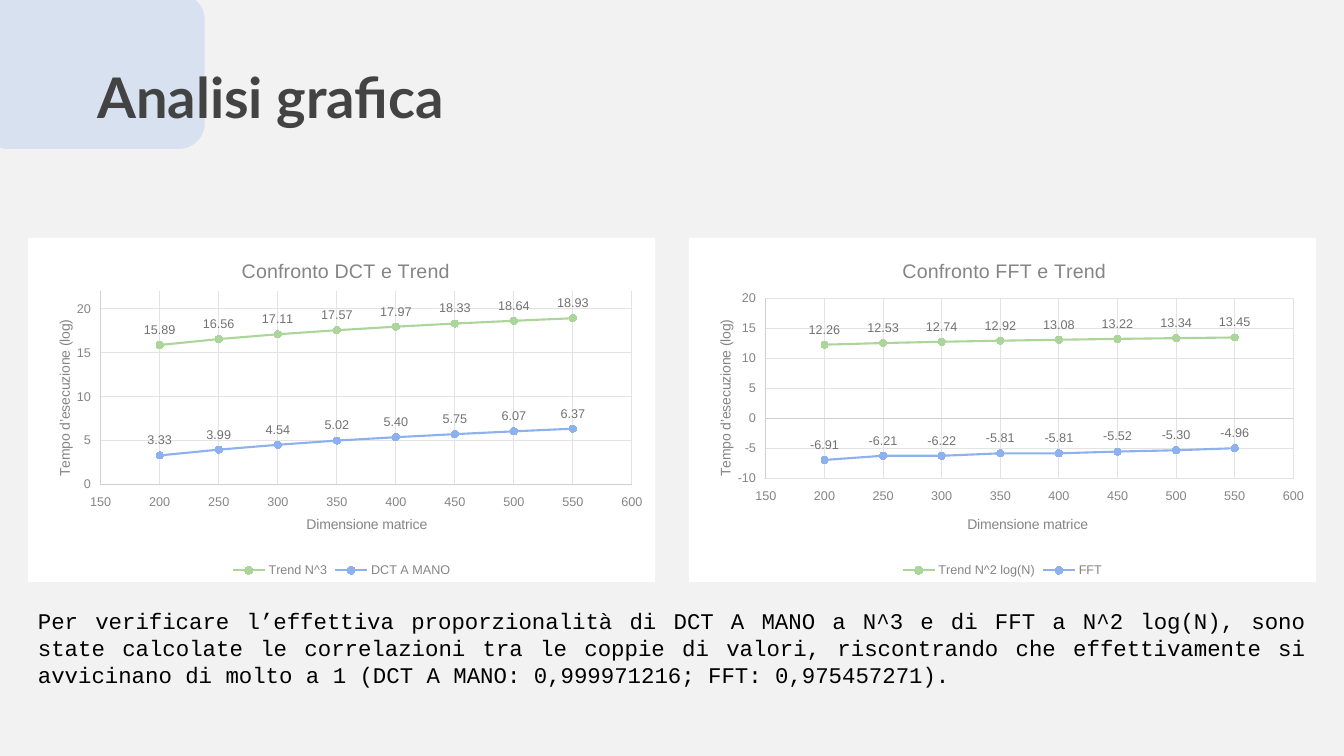
import dataclasses

import lxml.etree
import pptx
import pptx.chart.data
import pptx.dml.color
import pptx.enum.chart
import pptx.enum.shapes
import pptx.enum.text
import pptx.oxml
import pptx.oxml.ns
import pptx.util

qn = pptx.oxml.ns.qn
SPACE = pptx.oxml.ns.nsdecls("c", "a")


@dataclasses.dataclass(frozen=True)
class Theme:
    back: str = "F2F2F2"
    panel: str = "FFFFFF"
    head: str = "434343"
    body: str = "000000"
    soft: str = "858585"
    label: str = "727272"
    grid: str = "E3E3E3"
    axis: str = "D0D0D0"
    green: str = "ABD59A"
    blue: str = "8CB1EE"
    head_font: str = "Lato"
    body_font: str = "Courier New"
    chart_font: str = "Arial"
    head_size: int = 40
    body_size: int = 16
    title_size: int = 14
    axis_size: int = 10
    tick_size: int = 9


def paint(part, color):
    part.solid()
    part.fore_color.rgb = pptx.dml.color.RGBColor.from_string(color)


def style(font, face, size, color, bold=False):
    font.name = face
    font.size = pptx.util.Pt(size)
    font.bold = bold
    paint(font.fill, color)


def write(frame, text, align=None, **form):
    frame.text = text
    para = frame.paragraphs[0]
    para.alignment = align
    style(para.runs[0].font, **form)


def stroke(line, color, width):
    paint(line.fill, color)
    line.width = pptx.util.Pt(width)


def place(node, **share):
    for old in node.findall(qn("c:layout")):
        node.remove(old)
    modes = '<c:layoutTarget val="inner"/>' if "w" in share else ""
    modes += '<c:xMode val="edge"/><c:yMode val="edge"/>'
    sides = "".join(f'<c:{key} val="{val}"/>' for key, val in share.items())
    node.insert(0 if node.find(qn("c:tx")) is None else 1, pptx.oxml.parse_xml(
        f"<c:layout {SPACE}><c:manualLayout>{modes}{sides}</c:manualLayout></c:layout>"))


class Board:
    COLS, ROWS = 48, 27

    def __init__(self, theme):
        self.theme = theme
        self.deck = pptx.Presentation()
        self.deck.slide_width = pptx.util.Inches(13.33)
        self.deck.slide_height = pptx.util.Inches(7.5)
        self.slide = self.deck.slides.add_slide(self.deck.slide_layouts[6])
        paint(self.slide.background.fill, theme.back)

    def area(self, col, row, wide, high):
        step = self.deck.slide_width / self.COLS
        rise = self.deck.slide_height / self.ROWS
        return [round(v) for v in (col * step, row * rise, wide * step, high * rise)]

    def block(self, *cells, color, alpha):
        shape = self.slide.shapes.add_shape(
            pptx.enum.shapes.MSO_SHAPE.ROUNDED_RECTANGLE, *self.area(*cells))
        shape.shadow.inherit = False
        shape.line.fill.background()
        paint(shape.fill, color)
        tint = shape.fill._xPr.find(".//" + qn("a:srgbClr"))
        lxml.etree.SubElement(tint, qn("a:alpha"), val=str(alpha * 1000))

    def text(self, *cells, text, inset=0.1, **form):
        frame = self.slide.shapes.add_textbox(*self.area(*cells)).text_frame
        frame.word_wrap = True
        frame.margin_left = frame.margin_right = pptx.util.Inches(0.1)
        frame.margin_top = frame.margin_bottom = pptx.util.Inches(inset)
        write(frame, text, **form)

    def axis(self, axis, name, low, high, step, spot, turn=0):
        look = self.theme
        axis.minimum_scale, axis.maximum_scale, axis.major_unit = low, high, step
        axis.major_tick_mark = axis.minor_tick_mark = pptx.enum.chart.XL_TICK_MARK.NONE
        axis.tick_label_position = pptx.enum.chart.XL_TICK_LABEL_POSITION.LOW
        axis.has_major_gridlines = True
        stroke(axis.major_gridlines.format.line, look.grid, 0.75)
        stroke(axis.format.line, look.axis, 0.75)
        style(axis.tick_labels.font, look.chart_font, look.tick_size, look.soft)
        title = axis.axis_title
        write(title.text_frame, name, face=look.chart_font,
              size=look.axis_size, color=look.soft)
        frame = title._element.find(".//" + qn("a:bodyPr"))
        frame.set("rot", str(turn * 60000))
        frame.set("vert", "horz")
        place(title._element, **spot)

    def curve(self, curve, color):
        look = self.theme
        stroke(curve.format.line, color, 1.5)
        mark = curve.marker
        mark.style = pptx.enum.chart.XL_MARKER_STYLE.CIRCLE
        mark.size = 5
        paint(mark.format.fill, color)
        stroke(mark.format.line, color, 0.75)
        shows = "".join(f'<c:show{key} val="{int(key == "Val")}"/>' for key in (
            "LegendKey", "Val", "CatName", "SerName", "Percent", "BubbleSize"))
        curve._element.find(qn("c:xVal")).addprevious(pptx.oxml.parse_xml(
            f'<c:dLbls {SPACE}><c:numFmt formatCode="#,##0.00" sourceLinked="0"/>'
            f'<c:txPr><a:bodyPr/><a:p><a:pPr><a:defRPr sz="{look.tick_size * 100}" b="0">'
            f'<a:solidFill><a:srgbClr val="{look.label}"/></a:solidFill>'
            f'<a:latin typeface="{look.chart_font}"/></a:defRPr></a:pPr></a:p></c:txPr>'
            f'<c:dLblPos val="t"/>{shows}</c:dLbls>'))

    def chart(self, *cells, title, sizes, curves, low, high, plot):
        look = self.theme
        data = pptx.chart.data.XyChartData()
        for name, times in curves.items():
            row = data.add_series(name)
            for size, time in zip(sizes, times):
                row.add_data_point(size, time)
        chart = self.slide.shapes.add_chart(
            pptx.enum.chart.XL_CHART_TYPE.XY_SCATTER_LINES,
            *self.area(*cells), data).chart
        style(chart.font, look.chart_font, look.axis_size, look.head)
        chart._chartSpace.find(qn("c:chart")).addnext(pptx.oxml.parse_xml(
            f'<c:spPr {SPACE}><a:solidFill><a:srgbClr val="{look.panel}"/></a:solidFill>'
            '<a:ln><a:noFill/></a:ln></c:spPr>'))
        chart.has_title = True
        write(chart.chart_title.text_frame, title, face=look.chart_font,
              size=look.title_size, color=look.soft)
        place(chart.chart_title._element, x=0.335, y=0.05)
        chart.has_legend = True
        chart.legend.position = pptx.enum.chart.XL_LEGEND_POSITION.BOTTOM
        chart.legend.include_in_layout = False
        style(chart.legend.font, look.chart_font, look.tick_size, look.soft)
        self.axis(chart.category_axis, "Dimensione matrice", 150, 600, 50,
                  dict(x=0.44, y=0.8))
        self.axis(chart.value_axis, "Tempo d’esecuzione (log)", low, high, 5,
                  dict(x=0.04, y=0.23), turn=-90)
        place(chart._chartSpace.find(".//" + qn("c:plotArea")), **plot)
        chart.plots[0].vary_by_categories = False
        for curve, color in zip(chart.plots[0].series, (look.green, look.blue)):
            self.curve(curve, color)


def main():
    look = Theme()
    board = Board(look)
    board.block(-0.65, -0.22, 7.96, 5.54, color=look.blue, alpha=25)
    board.text(3.13, 1.87, 16.56, 6.62, text="Analisi grafica", face=look.head_font,
               size=look.head_size, color=look.head, bold=True)
    sizes = range(200, 551, 50)
    charts = [
        dict(title="Confronto DCT e Trend", low=0, high=22,
             plot=dict(x=0.116, y=0.155, w=0.847, h=0.563),
             curves={
                 "Trend N^3": (15.89, 16.56, 17.11, 17.57, 17.97, 18.33, 18.64, 18.93),
                 "DCT A MANO": (3.33, 3.99, 4.54, 5.02, 5.4, 5.75, 6.07, 6.37)}),
        dict(title="Confronto FFT e Trend", low=-10, high=20,
             plot=dict(x=0.123, y=0.175, w=0.841, h=0.525),
             curves={
                 "Trend N^2 log(N)": (12.26, 12.53, 12.74, 12.92, 13.08, 13.22, 13.34, 13.45),
                 "FFT": (-6.91, -6.21, -6.22, -5.81, -5.81, -5.52, -5.3, -4.96)}),
    ]
    for spot, chart in enumerate(charts):
        board.chart(1 + 23.6 * spot, 8.5, 22.4, 12.28, sizes=sizes, **chart)
    board.text(
        1, 21.5, 46, 3.28, inset=0.05,
        text="Per verificare l’effettiva proporzionalità di DCT A MANO a N^3 e di FFT "
             "a N^2 log(N), sono state calcolate le correlazioni tra le coppie di valori, "
             "riscontrando che effettivamente si avvicinano di molto a 1 "
             "(DCT A MANO: 0,999971216; FFT: 0,975457271).",
        align=pptx.enum.text.PP_ALIGN.JUSTIFY, face=look.body_font,
        size=look.body_size, color=look.body)
    board.deck.save("out.pptx")


if __name__ == "__main__":
    main()
